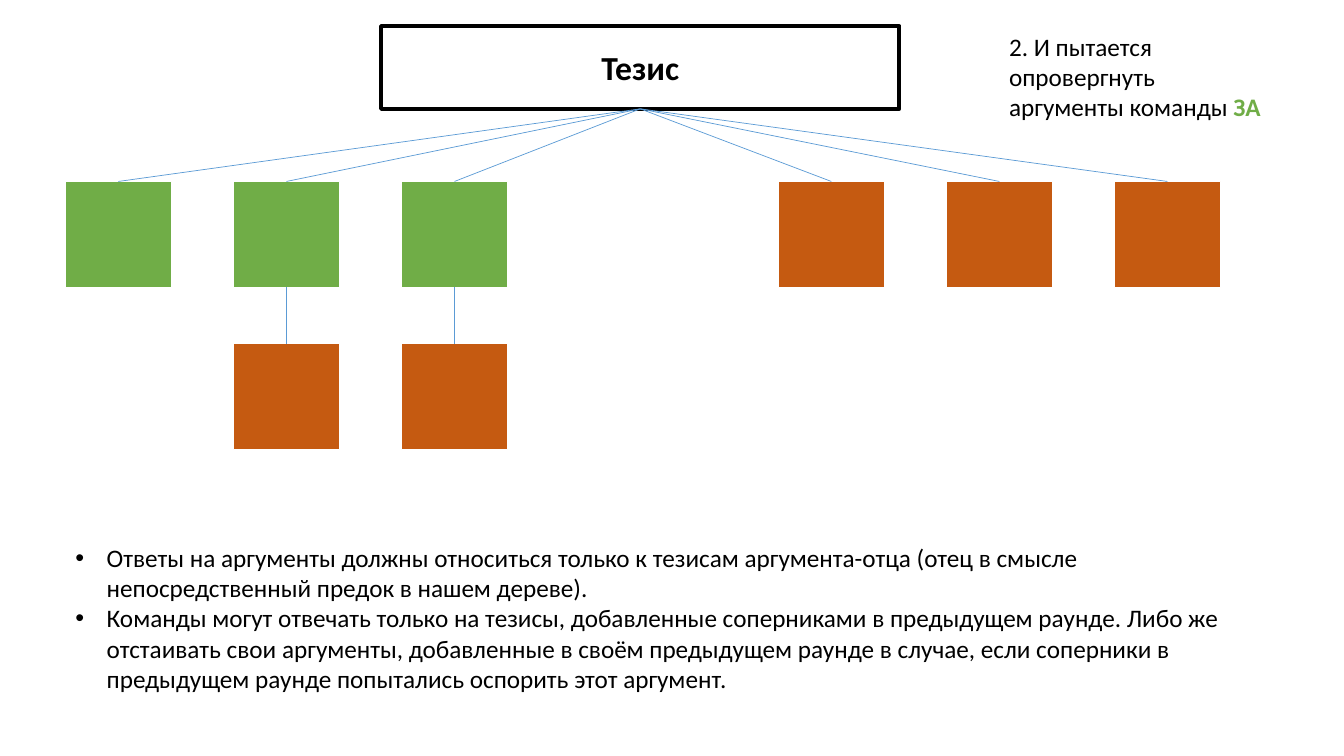
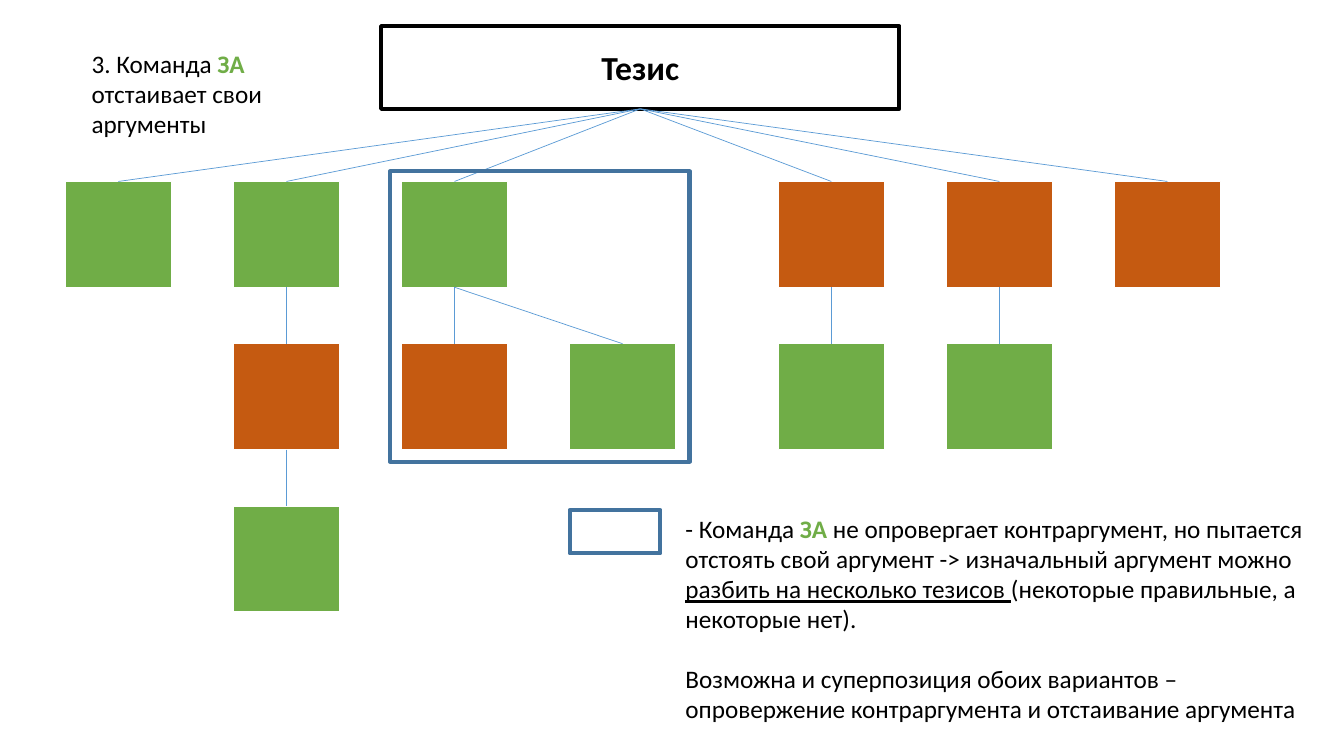
from lxml import etree
from pptx import Presentation
from pptx.dml.color import RGBColor
from pptx.enum.shapes import MSO_CONNECTOR, MSO_SHAPE
from pptx.enum.text import MSO_ANCHOR, MSO_AUTO_SIZE, PP_ALIGN
from pptx.oxml.ns import qn
from pptx.util import Inches, Pt

COLORS = {
    "text": "000000",
    "for": "70AD47",
    "against": "C55A11",
    "link": "5B9BD5",
    "highlight": "43739E",
    "border": "FFFFFF",
}
FONT = "Calibri"

# Argument grid: four columns on the left, three on the right
SQUARE = 1.05
COLUMN_STEP = 5 / 3
COLUMNS = [0.65 + i * COLUMN_STEP for i in range(4)]
COLUMNS += [7.72 + i * COLUMN_STEP for i in range(3)]
ROWS = [1.8 + i * 1.61 for i in range(3)]
TOP_SITE, BOTTOM_SITE = 0, 2


def color(name):
    return RGBColor.from_string(COLORS[name])


def inches(box):
    return [Inches(value) for value in box]


def format_run(run, size=18, color_name="text", bold=False, underline=False):
    font = run.font
    font.name, font.size = FONT, Pt(size)
    font.bold, font.underline = bold, underline
    font.color.rgb = color(color_name)


def add_rectangle(slide, box, line, width, fill=None):
    shape = slide.shapes.add_shape(MSO_SHAPE.RECTANGLE, *inches(box))
    shape.shadow.inherit = False
    if fill:
        shape.fill.solid()
        shape.fill.fore_color.rgb = color(fill)
    else:
        shape.fill.background()
    shape.line.color.rgb = color(line)
    shape.line.width = Pt(width)
    return shape


def add_text(slide, box, paragraphs, bulleted=False):
    """Each paragraph is a list of (text, run format) pairs."""
    text_box = slide.shapes.add_textbox(*inches(box))
    text_frame = text_box.text_frame
    text_frame.word_wrap = True
    text_frame.auto_size = MSO_AUTO_SIZE.SHAPE_TO_FIT_TEXT
    for index, runs in enumerate(paragraphs):
        paragraph = text_frame.add_paragraph() if index else text_frame.paragraphs[0]
        for text, run_format in runs:
            run = paragraph.add_run()
            run.text = text
            format_run(run, **run_format)
        if bulleted:
            add_bullet(paragraph)


def add_bullet(paragraph, indent=0.31):
    properties = paragraph._p.get_or_add_pPr()
    properties.set("marL", str(Inches(indent)))
    properties.set("indent", str(-Inches(indent)))
    etree.SubElement(properties, qn("a:buFont")).set("typeface", "Arial")
    etree.SubElement(properties, qn("a:buChar")).set("char", "•")


def add_link(slide, parent, child):
    connector = slide.shapes.add_connector(MSO_CONNECTOR.STRAIGHT, 0, 0, 0, 0)
    connector.begin_connect(parent, BOTTOM_SITE)
    connector.end_connect(child, TOP_SITE)
    connector.line.color.rgb = color("link")
    connector.line.width = Pt(0.5)
    etree.SubElement(connector._element.spPr, qn("a:effectLst"))


def add_argument(slide, parent, team, column, row):
    box = (COLUMNS[column], ROWS[row], SQUARE, SQUARE)
    square = add_rectangle(slide, box, "border", 1, fill=team)
    add_link(slide, parent, square)
    return square


def add_thesis(slide, box):
    thesis = slide.shapes.title
    thesis.left, thesis.top, thesis.width, thesis.height = inches(box)
    thesis.line.color.rgb = color("text")
    thesis.line.width = Pt(3)
    text_frame = thesis.text_frame
    text_frame.text = "Тезис"
    text_frame.auto_size = MSO_AUTO_SIZE.NONE
    text_frame.vertical_anchor = MSO_ANCHOR.MIDDLE
    paragraph = text_frame.paragraphs[0]
    paragraph.alignment = PP_ALIGN.CENTER
    format_run(paragraph.runs[0], size=24, bold=True)
    return thesis


def add_debate_slide(presentation):
    """Thesis, first-round arguments and the two rebuttals."""
    slide = presentation.slides.add_slide(presentation.slide_layouts[5])
    thesis = add_thesis(slide, (3.78, 0.26, 5.14, 0.82))
    arguments = {}
    for column in (0, 1, 2, 4, 5, 6):
        team = "for" if column < 4 else "against"
        arguments[column] = add_argument(slide, thesis, team, column, 0)
    rebuttals = {
        column: add_argument(slide, arguments[column], "against", column, 1)
        for column in (1, 2)
    }
    return slide, arguments, rebuttals


TEAM_FOR = {"color_name": "for", "bold": True}


def build_rebuttal_slide(presentation):
    slide, _, _ = add_debate_slide(presentation)
    add_text(slide, (9.91, 0.26, 2.71, 1.01), [[
        ("2. И пытается опровергнуть аргументы команды ", {}),
        ("ЗА", TEAM_FOR),
    ]])
    # Rules of the round
    add_text(slide, (0.65, 5.33, 11.87, 1.62), [
        [("Ответы на аргументы должны относиться только к тезисам аргумента-отца "
          "(отец в смысле непосредственный предок в нашем дереве).", {})],
        [("Команды могут отвечать только на тезисы, добавленные соперниками в "
          "предыдущем раунде. Либо же отстаивать свои аргументы, добавленные в "
          "своём предыдущем раунде в случае, если соперники в предыдущем раунде "
          "попытались оспорить этот аргумент.", {})],
    ], bulleted=True)


def build_defence_slide(presentation):
    slide, arguments, rebuttals = add_debate_slide(presentation)
    add_text(slide, (0.81, 0.43, 2.71, 1.01), [[
        ("3. Команда ", {}),
        ("ЗА ", TEAM_FOR),
        ("отстаивает свои аргументы", {}),
    ]])

    # Replies of the team in favour
    for column in (4, 5):
        add_argument(slide, arguments[column], "for", column, 1)
    add_argument(slide, arguments[2], "for", 3, 1)
    add_argument(slide, rebuttals[1], "for", 1, 2)

    # Highlighted defence and its legend
    add_rectangle(slide, (3.87, 1.7, 2.97, 2.88), "highlight", 3)
    add_rectangle(slide, (5.65, 5.06, 0.9, 0.43), "highlight", 3)
    add_text(slide, (6.7, 5.04, 6.49, 1.31), [[
        ("- Команда ", {}),
        ("ЗА ", TEAM_FOR),
        ("не опровергает контраргумент, но пытается отстоять свой аргумент -> "
         "изначальный аргумент можно ", {}),
        ("разбить на несколько тезисов ", {"underline": True}),
        ("(некоторые правильные, а некоторые нет).", {}),
    ]])
    add_text(slide, (6.7, 6.53, 6.4, 0.71), [[
        ("Возможна и суперпозиция обоих вариантов – опровержение контраргумента "
         "и отстаивание аргумента", {}),
    ]])


presentation = Presentation()
presentation.slide_width, presentation.slide_height = inches((13.33, 7.5))
build_rebuttal_slide(presentation)
build_defence_slide(presentation)
presentation.save("out.pptx")
